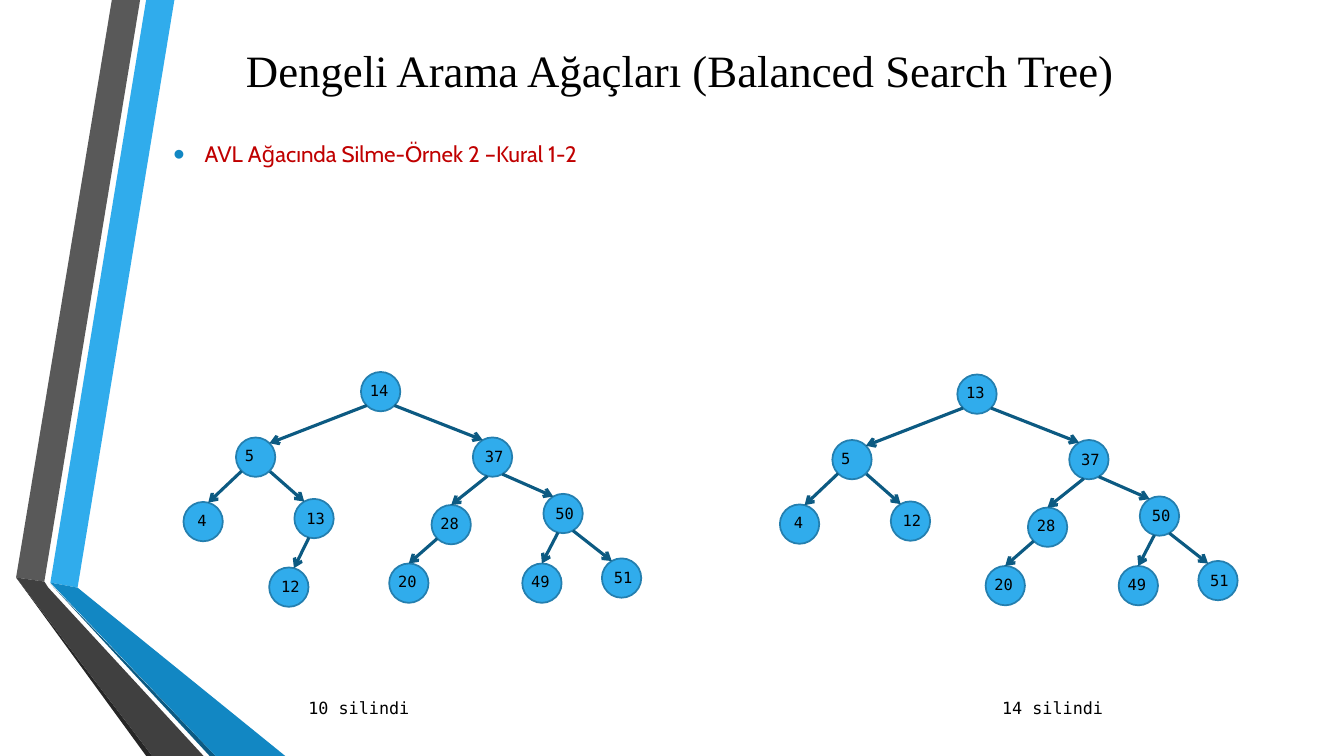
from math import cos, radians, sin
from lxml.etree import SubElement
from pptx import Presentation
from pptx.dml.color import RGBColor
from pptx.enum.shapes import MSO_CONNECTOR, MSO_SHAPE
from pptx.enum.text import MSO_ANCHOR, PP_ALIGN
from pptx.oxml.ns import qn
from pptx.util import Inches, Pt

THEME = {
    "black": "000000", "heading": "C00000", "bullet": "1287C3",
    "node": "30ACEC", "node_line": "247FAF", "edge": "0C5A82",
    "title_font": "Times New Roman", "body_font": "Cabin", "mono": "DejaVu Sans Mono",
    "title_size": 32, "body_size": 16, "caption_size": 12, "label_size": 11,
    "node_line_width": 1.25, "edge_width": 2.25,
}


def write(box, text, font, size, color):
    box.text_frame.text = text
    para = box.text_frame.paragraphs[0]
    span = para.runs[0]
    span.font.name = font
    span.font.size = Pt(size)
    span.font.color.rgb = RGBColor.from_string(color)
    return para


def add_text(shapes, text, left, top, width, height, size):
    box = shapes.add_textbox(Inches(left), Inches(top), Inches(width), Inches(height))
    box.text_frame.word_wrap = True
    write(box, text, THEME["mono"], size, THEME["black"])


deck = Presentation()
deck.slide_width, deck.slide_height = Inches(13.33), Inches(7.5)
page = deck.slides.add_slide(deck.slide_layouts[1])

# Folded bands on the left edge
bands = [
    ("30ACEC", [(0.5, 5.78), (0.77, 5.83), (1.73, 0), (1.45, 0)]),
    ("595959", [(1.39, 0), (1.11, 0), (0.16, 5.73), (0.44, 5.77)]),
    ("262626", [(0.16, 5.73), (1.45, 7.5), (1.51, 7.5)]),
    ("0C5A82", [(0.5, 5.79), (2.08, 7.5), (2.14, 7.5)]),
    ("1287C3", [(0.5, 5.78), (2.14, 7.5), (2.83, 7.5), (0.77, 5.83)]),
    ("404040", [(2.02, 7.5), (0.48, 5.83), (0.44, 5.77), (0.16, 5.73), (1.51, 7.5)]),
]
for color, corners in bands:
    points = [(Inches(x), Inches(y)) for x, y in corners]
    outline = page.shapes.build_freeform(*points[0])
    outline.add_line_segments(points[1:], close=True)
    band = outline.convert_to_shape()
    band.shadow.inherit = False
    band.fill.solid()
    band.fill.fore_color.rgb = RGBColor.from_string(color)
    band.line.fill.background()

# Title
title = page.shapes.title
title.left, title.top = Inches(1.55), Inches(0.17)
title.width, title.height = Inches(10.39), Inches(1.04)
title.text_frame.vertical_anchor = MSO_ANCHOR.MIDDLE
para = write(title, "Dengeli Arama Ağaçları (Balanced Search Tree)",
             THEME["title_font"], THEME["title_size"], THEME["black"])
para.alignment = PP_ALIGN.CENTER

# Bulleted heading
body = page.placeholders[1]
body.left, body.top = Inches(1.62), Inches(1.21)
body.width, body.height = Inches(10.94), Inches(0.63)
para = write(body, "AVL Ağacında Silme-Örnek 2 –Kural 1-2",
             THEME["body_font"], THEME["body_size"], THEME["heading"])
para.line_spacing = 1.5
properties = para._p.get_or_add_pPr()
properties.set("marL", str(Inches(0.31)))
properties.set("indent", str(-Inches(0.31)))
bullet_color = SubElement(properties, qn("a:buClr"))
SubElement(bullet_color, qn("a:srgbClr"), val=THEME["bullet"])
SubElement(bullet_color.getparent(), qn("a:buSzPct"), val="145000")
SubElement(properties, qn("a:buFont"), typeface="Arial")
SubElement(properties, qn("a:buChar"), char="•")

# Tree slots: left, top, tilt, parent, angle leaving the parent, angle arriving
DIAMETER, TILT = 0.39, -29.7
RADIUS = DIAMETER / 2
slots = {
    "root": (3.58, 3.69, 0, None, 0, 0),
    "L": (2.34, 4.34, 0, "root", 135, -45),
    "R": (4.69, 4.34, TILT, "root", 45, -120),
    "LL": (1.82, 4.98, TILT, "L", 135, -75),
    "LR": (2.92, 4.95, TILT, "L", 45, -120),
    "LRL": (2.67, 5.63, TILT, "LR", 105, -75),
    "RL": (4.28, 5.01, 0, "R", 105, -90),
    "RR": (5.39, 4.9, TILT, "R", 60, -120),
    "RLL": (3.86, 5.59, 0, "RL", 135, -90),
    "RRL": (5.18, 5.59, 0, "RR", 105, -90),
    "RRR": (5.97, 5.54, TILT, "RR", 60, -120),
}
shared = {"L": "5", "R": "37", "LL": "4", "RL": "28", "RR": "50",
          "RLL": "20", "RRL": "49", "RRR": "51"}

# Trees: shift right, shift down, labels, caption, caption left
trees = [
    (0, 0, {"root": "14", "LR": "13", "LRL": "12", **shared}, "10 silindi", 2.96),
    (5.915, 0.025, {"root": "13", "LR": "12", **shared}, "14 silindi", 9.84),
]
for shift_x, shift_y, labels, caption, caption_left in trees:
    add_text(page.shapes, caption, caption_left, 6.87, 1.56, 0.3, THEME["caption_size"])
    tree = page.shapes.add_group_shape().shapes
    for slot, label in labels.items():
        left, top, tilt, parent, leaving, arriving = slots[slot]
        left, top = left + shift_x, top + shift_y

        # Node and its label
        node = tree.add_shape(MSO_SHAPE.OVAL, Inches(left), Inches(top),
                              Inches(DIAMETER), Inches(DIAMETER))
        node.rotation = tilt
        node.shadow.inherit = False
        node.fill.solid()
        node.fill.fore_color.rgb = RGBColor.from_string(THEME["node"])
        node.line.color.rgb = RGBColor.from_string(THEME["node_line"])
        node.line.width = Pt(THEME["node_line_width"])
        nudge_x, nudge_y = (0.02, 0.05) if tilt else (-0.01, 0.04)
        if slot == "LL":
            nudge_x, nudge_y = 0.04, 0.04
        add_text(tree, label, left + nudge_x, top + nudge_y, 0.4, 0.29, THEME["label_size"])

        # Arrow from the parent's rim to this node's rim
        if parent is None:
            continue
        ends = []
        for x, y, angle in [(slots[parent][0] + shift_x, slots[parent][1] + shift_y, leaving),
                            (left, top, arriving)]:
            ends += [Inches(x + RADIUS + RADIUS * cos(radians(angle))),
                     Inches(y + RADIUS + RADIUS * sin(radians(angle)))]
        edge = tree.add_connector(MSO_CONNECTOR.STRAIGHT, *ends)
        edge.line.color.rgb = RGBColor.from_string(THEME["edge"])
        edge.line.width = Pt(THEME["edge_width"])
        SubElement(edge.line._get_or_add_ln(), qn("a:tailEnd"), type="arrow")
        SubElement(edge._element.spPr, qn("a:effectLst"))

deck.save("out.pptx")
